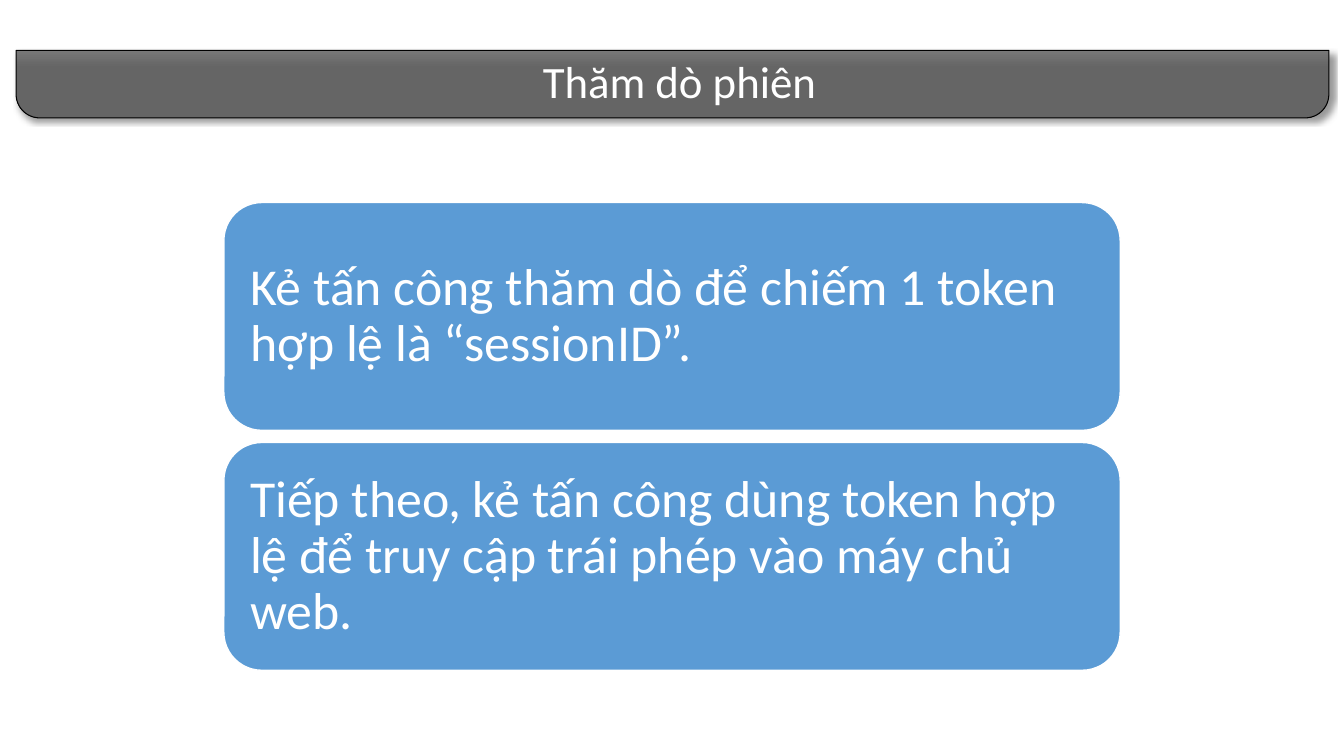
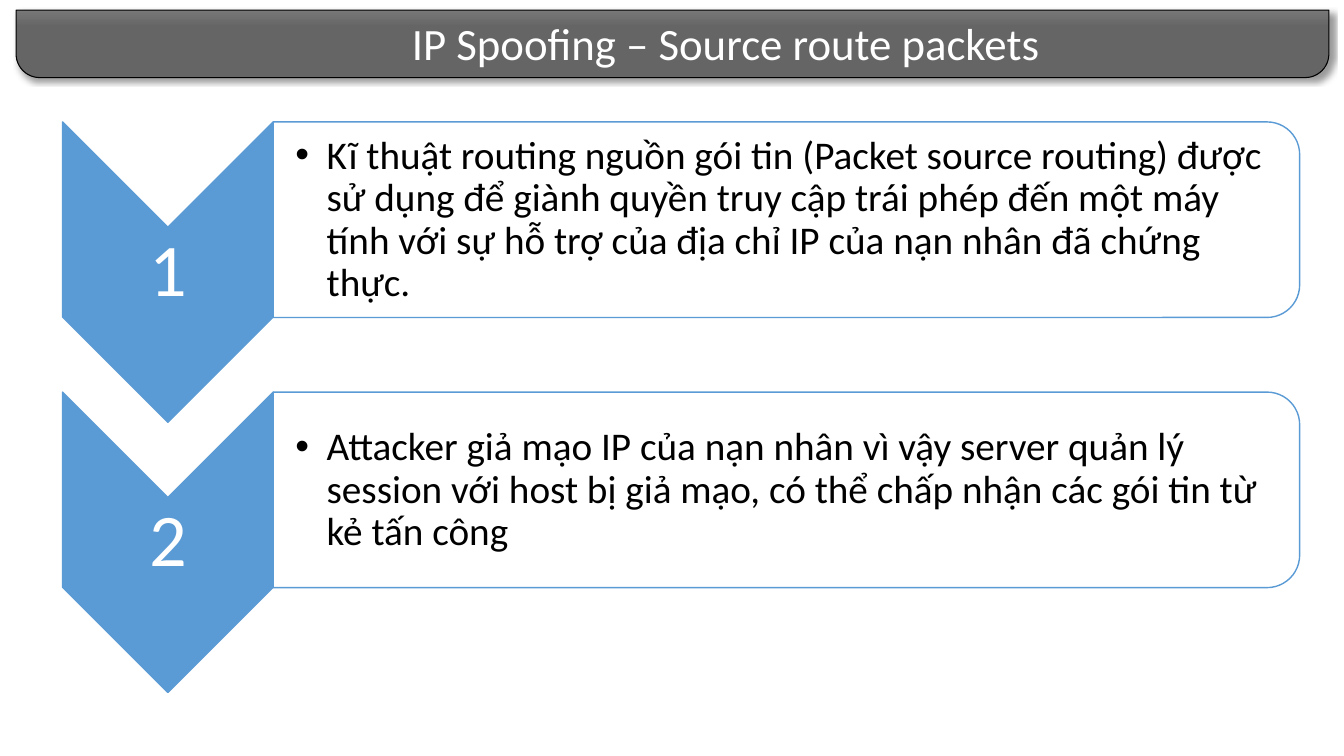
from lxml.etree import SubElement
from pptx import Presentation
from pptx.dml.color import RGBColor
from pptx.enum.shapes import MSO_SHAPE
from pptx.enum.text import MSO_ANCHOR, MSO_AUTO_SIZE, PP_ALIGN
from pptx.oxml import parse_xml
from pptx.oxml.ns import qn
from pptx.util import Inches, Pt

PROBE = {
    "title": "Thăm dò phiên",
    "band_top": 0.5,
    "title_box": (4.02, 0.48, 5.44, 0.64),
    "steps": [
        "Kẻ tấn công thăm dò để chiếm 1 token hợp lệ là “sessionID”.",
        "Tiếp theo, kẻ tấn công dùng token hợp lệ để truy cập trái phép vào máy chủ web.",
    ],
}
SPOOFING = {
    "title": "IP Spoofing – Source route packets",
    "band_top": 0.1,
    "title_box": (3.29, 0.11, 7.82, 0.64),
    "steps": [
        "Kĩ thuật routing nguồn gói tin (Packet source routing) được sử dụng để giành quyền truy cập trái phép đến một máy tính với sự hỗ trợ của địa chỉ IP của nạn nhân đã chứng thực.",
        "Attacker giả mạo IP của nạn nhân vì vậy server quản lý session với host bị giả mạo, có thể chấp nhận các gói tin từ kẻ tấn công",
    ],
}

THEME = {
    "font": "Calibri",
    "blue": "5B9BD5", "white": "FFFFFF", "black": "000000",
    "band_light": "787878", "band_dark": "656565",
    "title": 32, "card": 37, "number": 53, "body": 28,
}
SLIDE_W, SLIDE_H = 13.33, 7.5
BAND = {"left": 0.16, "width": 13.02, "height": 0.67}
CARD = {"left": 2.22, "top": 2.01, "width": 8.89, "height": 2.26, "pitch": 2.38}
STEP = {"left": 0.62, "top": 1.21, "pitch": 2.68}
CHEVRON_W, CHEVRON_H = 2.09, 2.98
PANEL_W, PANEL_H = 10.18, 1.94
SHADOW = (
    '<a:effectLst xmlns:a="http://schemas.openxmlformats.org/drawingml/2006/main">'
    '<a:outerShdw blurRad="50800" dist="38100" dir="2700000">'
    '<a:srgbClr val="000000"><a:alpha val="40000"/></a:srgbClr>'
    '</a:outerShdw></a:effectLst>'
)


def color(name):
    return RGBColor.from_string(THEME[name])


def add_shape(slide, kind, box, fill, line, width=1, turned=False):
    x, y, w, h = box
    if turned:
        x, y, w, h = x + (w - h) / 2, y + (h - w) / 2, h, w
    sp = slide.shapes.add_shape(kind, *map(Inches, (x, y, w, h)))
    sp.rotation = 90 if turned else 0
    sp.shadow.inherit = False
    sp.fill.solid()
    sp.fill.fore_color.rgb = color(fill)
    sp.line.color.rgb = color(line)
    sp.line.width = Pt(width)
    return sp


def write(sp, text, size, ink, insets, anchor=MSO_ANCHOR.MIDDLE, **para):
    tf = sp.text_frame
    sides = ("margin_left", "margin_top", "margin_right", "margin_bottom")
    frame = dict(zip(sides, map(Inches, insets)))
    frame.update(word_wrap=True, auto_size=MSO_AUTO_SIZE.NONE, vertical_anchor=anchor)
    for name, value in frame.items():
        setattr(tf, name, value)
    p = tf.paragraphs[0]
    for name, value in para.items():
        setattr(p, name, value)
    r = p.add_run()
    r.text = text
    for name, value in {"name": THEME["font"], "size": Pt(THEME[size])}.items():
        setattr(r.font, name, value)
    r.font.color.rgb = color(ink)
    return p


def add_text(slide, box, *args, **para):
    return write(slide.shapes.add_textbox(*map(Inches, box)), *args, **para)


def add_bullet(p, indent):
    pPr = p._p.get_or_add_pPr()
    pPr.set("marL", str(Inches(indent)))
    pPr.set("indent", str(-Inches(indent)))
    SubElement(pPr, qn("a:buFont")).set("typeface", "Arial")
    SubElement(pPr, qn("a:buChar")).set("char", "•")


def add_titled_slide(prs, content):
    slide = prs.slides.add_slide(prs.slide_layouts[5])
    box = (BAND["left"], content["band_top"], BAND["width"], BAND["height"])
    band = add_shape(slide, MSO_SHAPE.ROUND_2_SAME_RECTANGLE, box, "band_dark", "black", 0.75)
    band.adjustments[0], band.adjustments[1] = 0, 0.35
    band.fill.gradient()
    band.fill.gradient_angle = 270
    for stop, name, position in zip(band.fill.gradient_stops, ("band_light", "band_dark"), (0, 0.25)):
        stop.color.rgb = color(name)
        stop.position = position
    spPr = band._element.spPr
    spPr.replace(spPr.find(qn("a:effectLst")), parse_xml(SHADOW))
    title = slide.shapes.title
    for name, value in zip(("left", "top", "width", "height"), content["title_box"]):
        setattr(title, name, Inches(value))
    write(title, content["title"], "title", "white", (0.1, 0.05, 0.1, 0.05),
          MSO_ANCHOR.TOP, alignment=PP_ALIGN.CENTER)
    slide.shapes._spTree.append(title._element)
    return slide


def build_cards(slide, steps):
    for i, text in enumerate(steps):
        box = (CARD["left"], CARD["top"] + i * CARD["pitch"], CARD["width"], CARD["height"])
        card = add_shape(slide, MSO_SHAPE.ROUNDED_RECTANGLE, box, "blue", "white")
        write(card, text, "card", "white", (0.15,) * 4,
              alignment=PP_ALIGN.LEFT, line_spacing=0.9)


def build_chevrons(slide, steps):
    left, panel_left = STEP["left"], STEP["left"] + CHEVRON_W
    for i, text in enumerate(steps):
        top = STEP["top"] + i * STEP["pitch"]
        notch = CHEVRON_W / 2
        add_shape(slide, MSO_SHAPE.CHEVRON, (left, top, CHEVRON_W, CHEVRON_H),
                  "blue", "blue", turned=True)
        add_text(slide, (left, top + notch, CHEVRON_W, CHEVRON_H - 2 * notch),
                 str(i + 1), "number", "white", (0.04,) * 4,
                 alignment=PP_ALIGN.CENTER, line_spacing=0.9)
        add_shape(slide, MSO_SHAPE.ROUND_2_SAME_RECTANGLE, (panel_left, top, PANEL_W, PANEL_H),
                  "white", "blue", turned=True)
        p = add_text(slide, (panel_left, top + 0.1, PANEL_W - 0.09, PANEL_H - 0.19),
                     text, "body", "black", (0.22, 0.02, 0.02, 0.02),
                     alignment=PP_ALIGN.LEFT, line_spacing=0.9)
        add_bullet(p, 0.31)


def main():
    prs = Presentation()
    prs.slide_width, prs.slide_height = Inches(SLIDE_W), Inches(SLIDE_H)
    for content, build in ((PROBE, build_cards), (SPOOFING, build_chevrons)):
        build(add_titled_slide(prs, content), content["steps"])
    prs.save("out.pptx")


if __name__ == "__main__":
    main()
